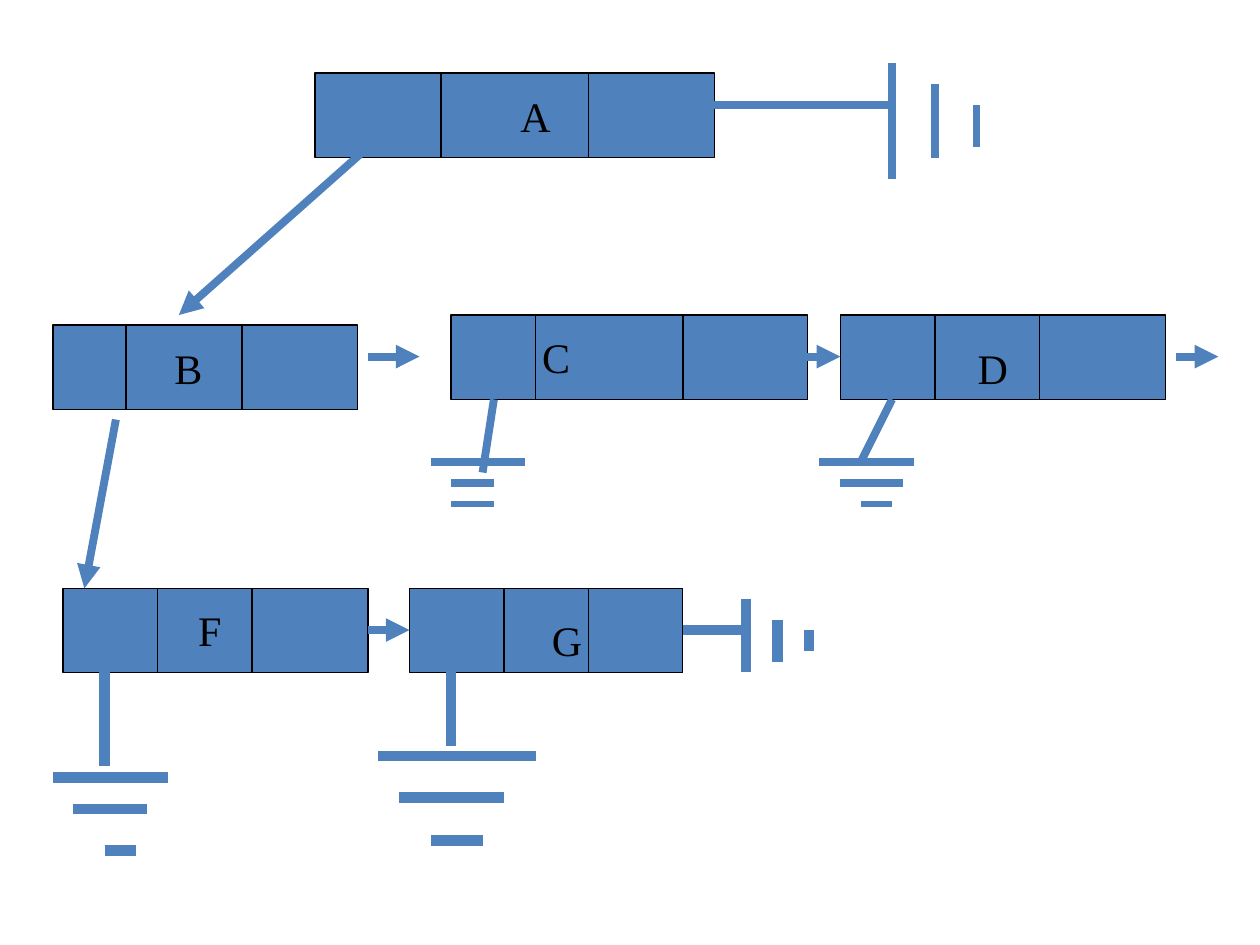
"""Builds a slide of a linked tree representation with grounded null pointers."""
from pptx import Presentation
from pptx.dml.color import RGBColor
from pptx.enum.shapes import MSO_CONNECTOR, MSO_SHAPE
from pptx.enum.text import MSO_AUTO_SIZE, PP_ALIGN
from pptx.oxml.ns import qn
from pptx.util import Inches, Pt
from lxml import etree

STRAIGHT = MSO_CONNECTOR.STRAIGHT
RECT = MSO_SHAPE.RECTANGLE
GROW = MSO_AUTO_SIZE.SHAPE_TO_FIT_TEXT
CENTER = PP_ALIGN.CENTER


def rgb(value):
    return RGBColor.from_string(value)


class Diagram:
    blue = "4F81BD"
    black = "000000"
    font = "Times New Roman"
    size = 24
    thin = 0.75
    node_height = 0.67

    def __init__(self, s):
        self.s = s

    def line(self, x1, y1, x2, y2, width=4.5, color=blue, arrow=False):
        c = self.s.shapes.add_connector(
            STRAIGHT, Inches(x1), Inches(y1), Inches(x2), Inches(y2))
        c.line.color.rgb = rgb(color)
        c.line.width = Pt(width)
        if arrow:
            etree.SubElement(c.line._get_or_add_ln(), qn("a:tailEnd"), type="triangle")
        etree.SubElement(c._element.spPr, qn("a:effectLst"))

    def label(self, text, x, y, w):
        tb = self.s.shapes.add_textbox(Inches(x), Inches(y), Inches(w), Inches(0.5))
        tf = tb.text_frame
        tf.word_wrap = True
        tf.auto_size = GROW
        p = tf.paragraphs[0]
        p.alignment = CENTER
        r = p.add_run()
        r.text = text
        r.font.name = self.font
        r.font.size = Pt(self.size)
        r.font.color.rgb = rgb(self.black)

    def node(self, x, y, w, dividers, label):
        sp = self.s.shapes.add_shape(
            RECT, Inches(x), Inches(y), Inches(w), Inches(self.node_height))
        sp.shadow.inherit = False
        sp.fill.solid()
        sp.fill.fore_color.rgb = rgb(self.blue)
        sp.line.color.rgb = rgb(self.black)
        sp.line.width = Pt(self.thin)
        for d in dividers:
            self.line(d, y, d, y + self.node_height, self.thin, self.black)
        self.label(*label)

    def ground(self, bars, width, upright=False, last_width=None):
        for i, (pos, start, end) in enumerate(bars):
            last = i == len(bars) - 1
            ends = (pos, start, pos, end) if upright else (start, pos, end, pos)
            self.line(*ends, last_width if last and last_width else width)


NODES = [
    (2.5, 0.58, 3.17, (3.5, 4.67), ("A", 3.5, 0.67, 1.5)),
    (0.42, 2.58, 2.42, (1, 1.92), ("B", 1.08, 2.67, 0.83)),
    (3.58, 2.5, 2.83, (4.25, 5.42), ("C", 3.83, 2.58, 1.17)),
    (6.67, 2.5, 2.58, (7.42, 8.25), ("D", 7.42, 2.67, 0.92)),
    (0.5, 4.67, 2.42, (1.25, 2), ("F", 1.25, 4.75, 0.83)),
    (3.25, 4.67, 2.17, (4, 4.67), ("G", 4, 4.83, 1)),
]
ARROWS = [
    (2.92, 1.17, 1.42, 2.5), (0.92, 3.33, 0.67, 4.67),
    (2.92, 2.83, 3.33, 2.83), (6.33, 2.83, 6.67, 2.83),
    (9.33, 2.83, 9.67, 2.83), (2.92, 5, 3.25, 5),
]
STEMS = [
    (5.67, 0.83, 7.08, 0.83, 4.5), (3.92, 3.17, 3.83, 3.75, 4.5),
    (7.08, 3.17, 6.83, 3.67, 4.5), (5.42, 5, 5.92, 5, 6),
    (0.83, 5.33, 0.83, 6.08, 6), (3.58, 5.33, 3.58, 5.92, 6),
]


def main():
    prs = Presentation()
    prs.slide_width, prs.slide_height = Inches(10), Inches(7.5)
    d = Diagram(prs.slides.add_slide(prs.slide_layouts[6]))
    for node in NODES:
        d.node(*node)
    for arrow in ARROWS:
        d.line(*arrow, arrow=True)
    for stem in STEMS:
        d.line(*stem)
    d.ground([(7.08, 0.5, 1.42), (7.42, 0.67, 1.25), (7.75, 0.83, 1.17)], 4.5, upright=True)
    d.ground([(5.92, 4.75, 5.33), (6.17, 4.92, 5.25), (6.42, 5, 5.17)], 6, upright=True)
    d.ground([(3.67, 3.42, 4.17), (3.83, 3.58, 3.92), (4, 3.58, 3.92)], 4.5, last_width=3)
    d.ground([(3.67, 6.5, 7.25), (3.83, 6.67, 7.17), (4, 6.83, 7.08)], 4.5, last_width=3)
    d.ground([(6.17, 0.42, 1.33), (6.42, 0.58, 1.17), (6.75, 0.83, 1.08)], 6)
    d.ground([(6, 3, 4.25), (6.33, 3.17, 4), (6.67, 3.42, 3.83)], 6)
    prs.save("out.pptx")


if __name__ == "__main__":
    main()
